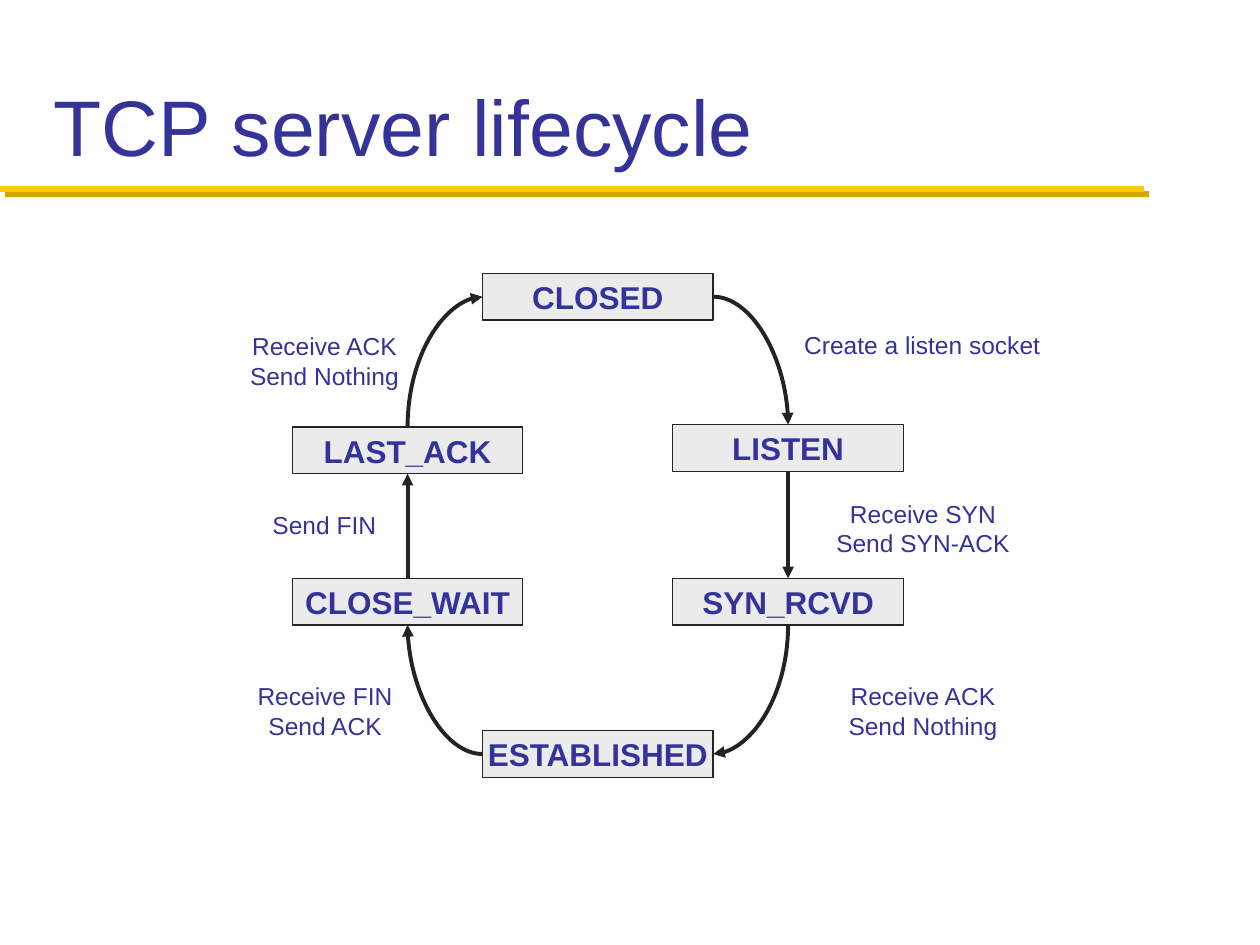
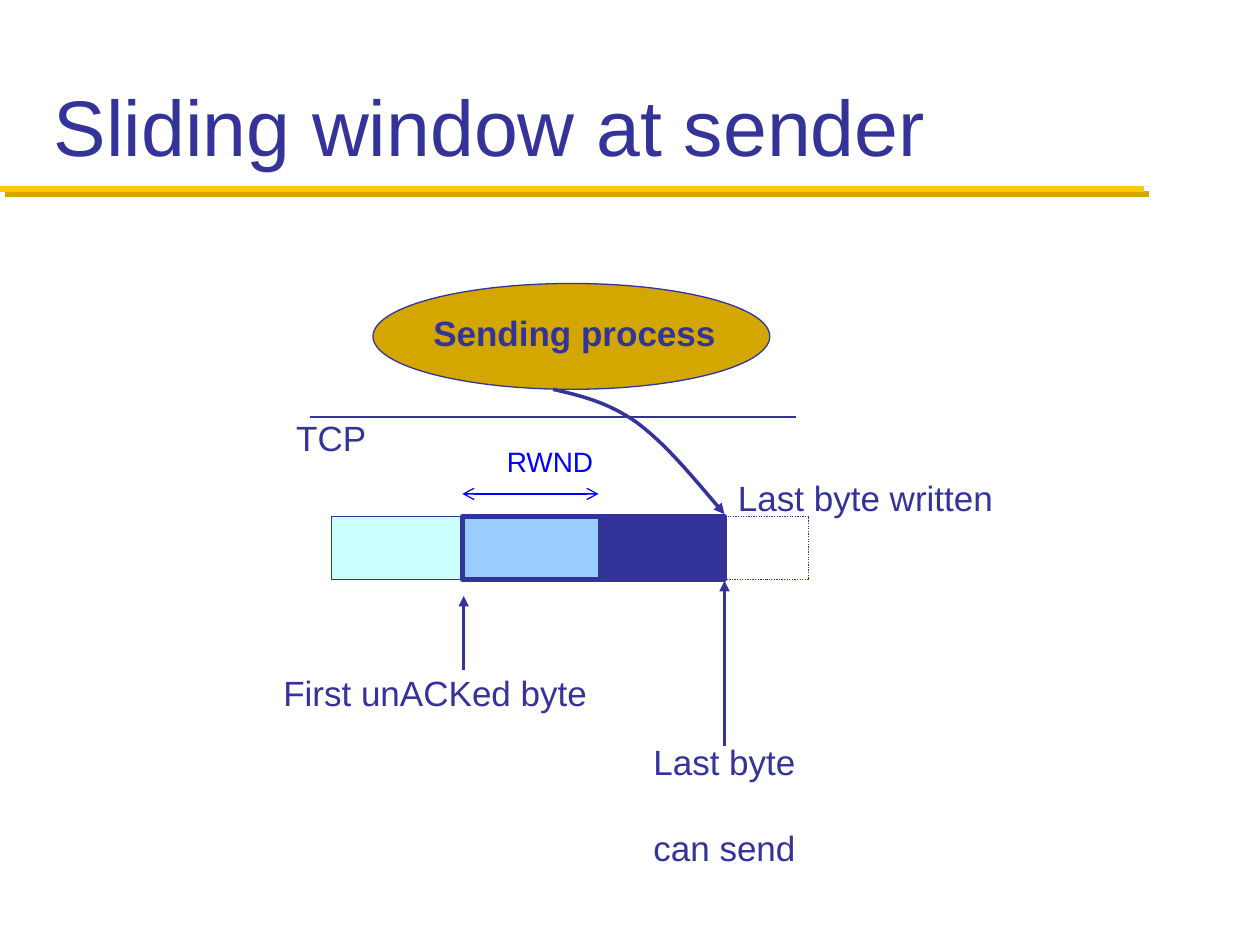
import pptx
import pptx.util
import pptx.dml.color
import pptx.enum.dml
import pptx.enum.shapes
import pptx.enum.text
import pptx.oxml.ns
import lxml.etree

Inches = pptx.util.Inches
qn = pptx.oxml.ns.qn
SHAPE = pptx.enum.shapes.MSO_SHAPE
CONNECTOR = pptx.enum.shapes.MSO_CONNECTOR
FONT = "Arial"
NAVY, GOLD, DARK_GOLD, INK = "333399", "FFCB05", "D3A600", "232323"


def rgb(color):
    return pptx.dml.color.RGBColor.from_string(color)


def outline(sp, color, width, head=None, tail=None):
    """Set line colour, width and arrowheads, and switch the shadow off."""
    sp.line.color.rgb = rgb(color)
    sp.line.width = pptx.util.Pt(width)
    spPr = sp._element.spPr
    for tag, kind in (("a:headEnd", head), ("a:tailEnd", tail)):
        if kind:
            lxml.etree.SubElement(spPr.find(qn("a:ln")), qn(tag), type=kind)
    return lxml.etree.SubElement(spPr, qn("a:effectLst"))


prs = pptx.Presentation()
prs.slide_width, prs.slide_height = Inches(10), Inches(7.5)

# Title and gold rule on each slide
slides = []
for title in ("TCP server lifecycle", "Sliding window at sender"):
    s = prs.slides.add_slide(prs.slide_layouts[6])
    slides.append(s)
    rule = s.shapes.add_connector(CONNECTOR.STRAIGHT, 0, Inches(1.5), Inches(9.08), Inches(1.5))
    effects = outline(rule, GOLD, 3.5)
    shadow = lxml.etree.SubElement(effects, qn("a:outerShdw"), dist="53340", dir="2700000")
    lxml.etree.SubElement(shadow, qn("a:srgbClr"), val=DARK_GOLD)
    tf = s.shapes.add_textbox(Inches(0.33), Inches(0.17), Inches(9.33), Inches(1.25)).text_frame
    tf.word_wrap = True
    tf.vertical_anchor = pptx.enum.text.MSO_ANCHOR.BOTTOM
    p = tf.paragraphs[0]
    p.text = title
    p.font.name, p.font.size = FONT, pptx.util.Pt(45)
    p.font.color.rgb = rgb(NAVY)
lifecycle, window = slides

# Lifecycle: states
states = {}
for name, x, y in (
    ("CLOSED", 3.83, 2.17),
    ("LISTEN", 5.34, 3.37),
    ("SYN_RCVD", 5.34, 4.59),
    ("ESTABLISHED", 3.83, 5.8),
    ("CLOSE_WAIT", 2.32, 4.59),
    ("LAST_ACK", 2.32, 3.39),
):
    sp = lifecycle.shapes.add_shape(SHAPE.RECTANGLE, Inches(x), Inches(y), Inches(1.83), Inches(0.37))
    sp.fill.solid()
    sp.fill.fore_color.rgb = rgb("EBEBEB")
    outline(sp, INK, 0.75)
    tf = sp.text_frame
    tf.word_wrap = False
    tf.vertical_anchor = pptx.enum.text.MSO_ANCHOR.MIDDLE
    p = tf.paragraphs[0]
    p.text = name
    p.alignment = pptx.enum.text.PP_ALIGN.CENTER
    p.font.name, p.font.size, p.font.bold = FONT, pptx.util.Pt(18), True
    p.font.color.rgb = rgb(NAVY)
    states[name] = sp

# Lifecycle: transitions; curves leave the middle states sideways,
# so those that lead into them carry the arrow at their head
TOP, LEFT, BOTTOM, RIGHT = range(4)
for start, start_side, end, end_side, head, tail in (
    ("CLOSED", RIGHT, "LISTEN", TOP, None, "triangle"),
    ("LISTEN", BOTTOM, "SYN_RCVD", TOP, None, "triangle"),
    ("ESTABLISHED", RIGHT, "SYN_RCVD", BOTTOM, "triangle", None),
    ("CLOSED", LEFT, "LAST_ACK", TOP, "triangle", None),
    ("ESTABLISHED", LEFT, "CLOSE_WAIT", BOTTOM, None, "triangle"),
    ("CLOSE_WAIT", TOP, "LAST_ACK", BOTTOM, None, "triangle"),
):
    curved = start_side in (LEFT, RIGHT)
    sp = lifecycle.shapes.add_connector(CONNECTOR.CURVE if curved else CONNECTOR.STRAIGHT, 0, 0, 0, 0)
    sp.begin_connect(states[start], start_side)
    sp.end_connect(states[end], end_side)
    if curved:
        sp._element.spPr.find(qn("a:prstGeom")).set("prst", "curvedConnector2")
    outline(sp, INK, 2.25, head, tail)

# Window: sending process and byte ranges
for kind, x, y, w, h, fill, width in (
    (SHAPE.OVAL, 2.96, 2.25, 3.15, 0.84, DARK_GOLD, 0.75),
    (SHAPE.RECTANGLE, 2.63, 4.1, 1.05, 0.5, "CCFFFF", 0.75),
    (SHAPE.RECTANGLE, 3.67, 4.1, 2.08, 0.5, "99CCFF", 2.5),
    (SHAPE.RECTANGLE, 5.75, 4.1, 0.67, 0.5, None, 0.75),
    (SHAPE.RECTANGLE, 4.75, 4.1, 1, 0.48, NAVY, 0.75),
):
    sp = window.shapes.add_shape(kind, Inches(x), Inches(y), Inches(w), Inches(h))
    if fill:
        sp.fill.solid()
        sp.fill.fore_color.rgb = rgb(fill)
    else:
        sp.fill.background()
        sp.line.dash_style = pptx.enum.dml.MSO_LINE.ROUND_DOT
    outline(sp, NAVY, width)

# Window: TCP boundary, pointers and RWND span
for x1, y1, x2, y2, color, width, head, tail in (
    (2.46, 3.31, 6.32, 3.31, NAVY, 0.75, None, None),
    (3.68, 5.32, 3.68, 4.73, NAVY, 1.5, None, "triangle"),
    (5.75, 5.92, 5.75, 4.61, NAVY, 1.5, None, "triangle"),
    (3.67, 3.92, 4.75, 3.92, "0000FF", 0.75, "arrow", "arrow"),
):
    sp = window.shapes.add_connector(CONNECTOR.STRAIGHT, Inches(x1), Inches(y1), Inches(x2), Inches(y2))
    outline(sp, color, width, head, tail)

# Window: curved arrow; each three line segments become one Bezier segment
points = ((4.61, 3.14), (4.82, 3.19), (5.05, 3.35), (5.28, 3.52), (5.51, 3.8), (5.75, 4.08))
builder = window.shapes.build_freeform(Inches(4.39), Inches(3.09))
builder.add_line_segments([(Inches(x), Inches(y)) for x, y in points], close=False)
sp = builder.convert_to_shape()
sp.fill.background()
outline(sp, NAVY, 2, tail="triangle")
path = next(sp._element.iter(qn("a:path")))
segments = path.findall(qn("a:lnTo"))
for i in range(0, len(segments), 3):
    bezier = lxml.etree.SubElement(path, qn("a:cubicBezTo"))
    for segment in segments[i:i + 3]:
        bezier.append(segment[0])
        path.remove(segment)

# Labels on both slides
for s, x, y, w, h, lines, size, color, bold, gap in (
    (lifecycle, 6.28, 2.57, 2.08, 0.34, ["Create a listen socket"], 14, NAVY, False, 0),
    (lifecycle, 6.53, 3.91, 1.59, 0.57, ["Receive SYN", "Send SYN-ACK"], 14, NAVY, False, 0),
    (lifecycle, 6.63, 5.36, 1.39, 0.57, ["Receive ACK", "Send Nothing"], 14, NAVY, False, 0),
    (lifecycle, 1.94, 5.36, 1.28, 0.57, ["Receive FIN", "Send ACK"], 14, NAVY, False, 0),
    (lifecycle, 2.06, 4, 1.03, 0.34, ["Send FIN"], 14, NAVY, False, 0),
    (lifecycle, 1.88, 2.58, 1.39, 0.57, ["Receive ACK", "Send Nothing"], 14, NAVY, False, 0),
    (window, 3.34, 2.42, 2.44, 0.43, ["Sending process"], 20, NAVY, True, 0),
    (window, 2.14, 5.28, 2.63, 0.44, ["First unACKed byte"], 20, NAVY, False, 0),
    (window, 5.08, 5.83, 1.34, 1.11, ["Last byte", "can send"], 20, NAVY, False, 25),
    (window, 2.25, 3.26, 0.76, 0.43, ["TCP"], 20, NAVY, False, 0),
    (window, 5.75, 3.73, 2.24, 0.44, ["Last byte written"], 20, NAVY, False, 0),
    (window, 3.92, 3.48, 0.89, 0.37, ["RWND"], 16, "0000FF", False, 0),
):
    tf = s.shapes.add_textbox(Inches(x), Inches(y), Inches(w), Inches(h)).text_frame
    tf.word_wrap = False
    for i, line in enumerate(lines):
        p = tf.add_paragraph() if i else tf.paragraphs[0]
        p.text = line
        p.alignment = pptx.enum.text.PP_ALIGN.CENTER
        if i and gap:
            p.space_before = pptx.util.Pt(gap)
        p.font.name, p.font.size, p.font.bold = FONT, pptx.util.Pt(size), bold
        p.font.color.rgb = rgb(color)

prs.save("out.pptx")
